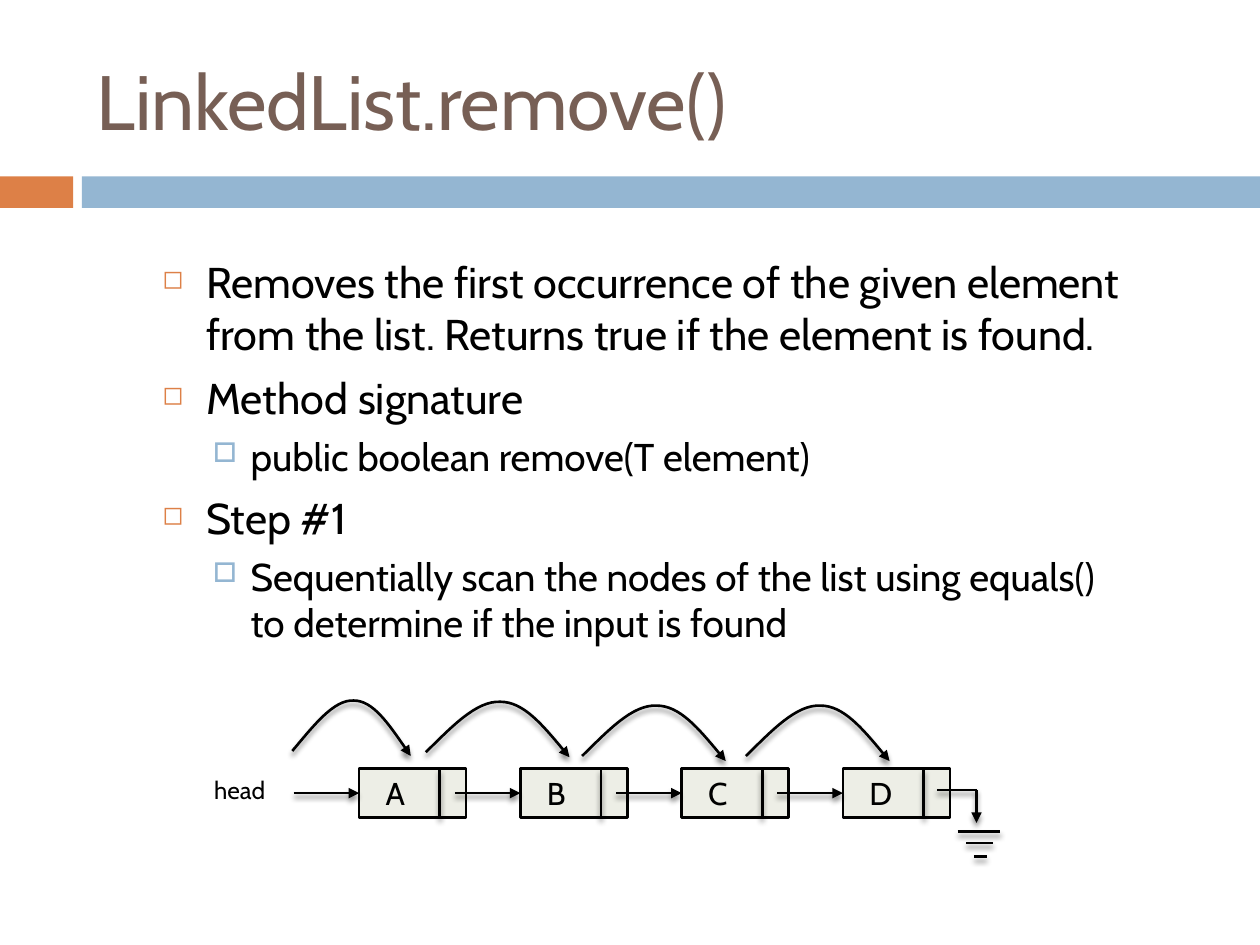
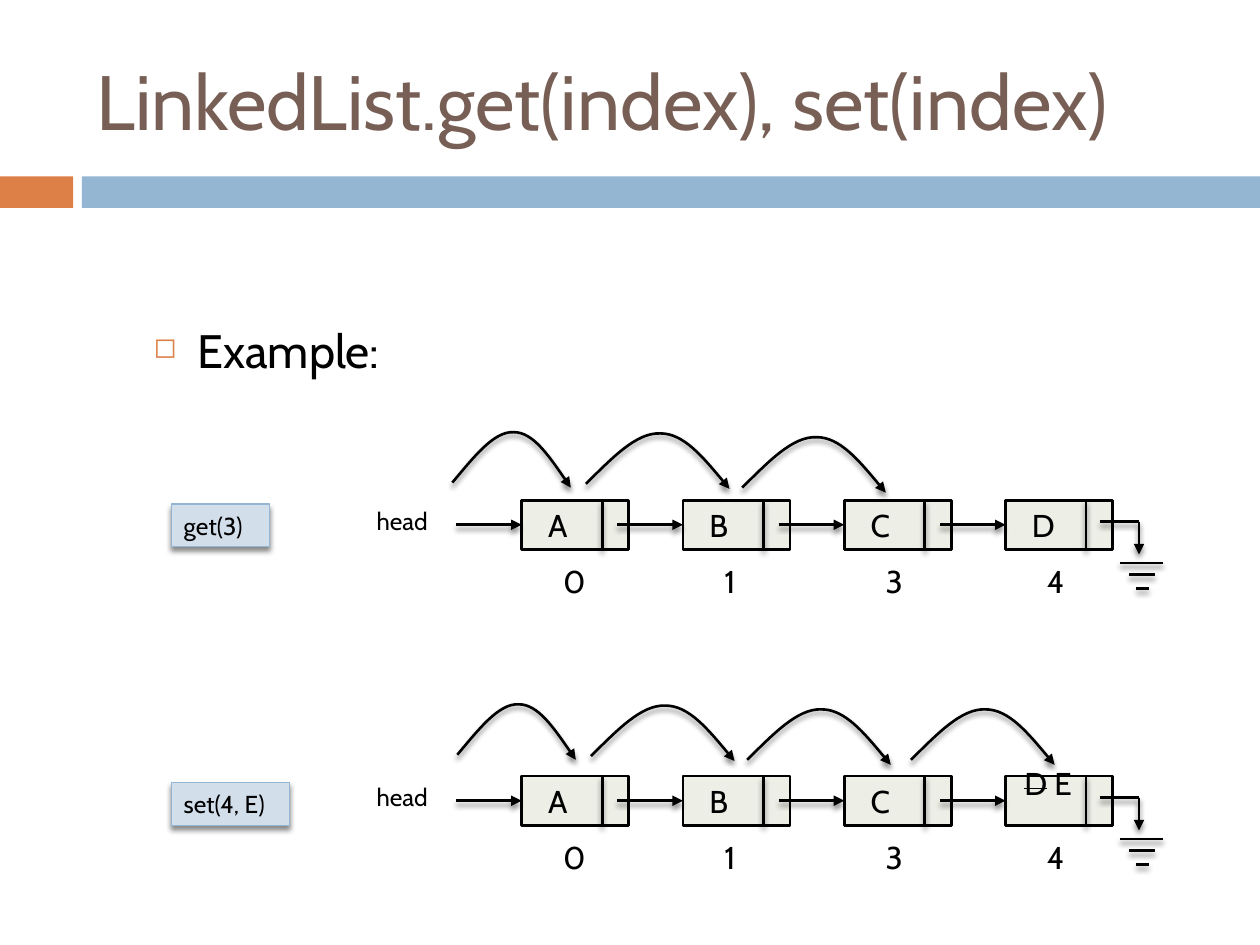
from lxml import etree
from pptx import Presentation
from pptx import util as u
from pptx.dml.color import RGBColor
from pptx.enum import shapes, text
from pptx.oxml.ns import qn

COLORS = {
    "ink": "000000", "title": "775F55", "orange": "DD8047",
    "blue": "94B6D2", "pale_blue": "D2DEEA", "node": "EDEEE6",
}
FONT = "Cabin"
SLIDE_WIDTH, SLIDE_HEIGHT = 10, 7.5
BAND_TOP, BAND_HEIGHT = 1.4, 0.25

# Linked list grid: every node takes one column
COLUMN = 1.28
NODE_WIDTH, NODE_HEIGHT = 0.85, 0.39
DIVIDER = 0.64
POINTER_START = 0.76
GROUND_BARS = [(0.91, 1.25, 0.5), (0.98, 1.19, 0.59), (1.04, 1.14, 0.7)]

# Hops: start (x, y) from the first node's corner, and width
HOPS = [(-0.53, -0.14, 0.94), (0.53, -0.13, 1.14),
        (1.77, -0.1, 1.14), (3.07, -0.1, 1.14)]
# Bezier points of a hop: share of its width, rise in inches
HOP_CURVE = [(0.18, -0.2), (0.35, -0.41), (0.52, -0.4),
             (0.68, -0.4), (0.84, -0.18), (1, 0.04)]

# Per level: left margin, indent, space before, character, colour, size in %
BULLETS = [(0.35, -0.35, 7, "◻", "orange", 60),
           (0.7, -0.3, 5.5, "□", "blue", 70)]


def rgb(name):
    return RGBColor.from_string(COLORS[name])


def add_xml(parent, tag, **attributes):
    return etree.SubElement(parent, qn(tag), attributes)


def style_font(font, size, color="ink"):
    font.name, font.size = FONT, u.Pt(size)
    font.color.rgb = rgb(color)


def style_line(shape, arrow=False, shadow=True, color="ink", width=1.5):
    shape.line.color.rgb = rgb(color)
    shape.line.width = u.Pt(width)
    properties = shape._element.spPr
    if arrow:
        add_xml(properties.find(qn("a:ln")), "a:tailEnd", type="triangle")
    if shadow:
        for effects in properties.findall(qn("a:effectLst")):
            properties.remove(effects)
        effects = add_xml(properties, "a:effectLst")
        outer = add_xml(effects, "a:outerShdw", blurRad=str(u.Pt(3)),
                        dist=str(u.Pt(2.4)), dir="5400000", rotWithShape="0")
        black = add_xml(outer, "a:srgbClr", val=COLORS["ink"])
        add_xml(black, "a:alpha", val="45000")


def add_rectangle(slide, left, top, width, height, fill):
    shape = slide.shapes.add_shape(
        shapes.MSO_SHAPE.RECTANGLE,
        *map(u.Inches, (left, top, width, height)))
    shape.shadow.inherit = False
    shape.fill.solid()
    shape.fill.fore_color.rgb = rgb(fill)
    shape.line.fill.background()
    return shape


def write(shape, words, size, color="ink", wrap=False):
    frame = shape.text_frame
    frame.word_wrap = wrap
    paragraph = frame.paragraphs[0]
    paragraph.text = words
    paragraph.alignment = text.PP_ALIGN.LEFT
    style_font(paragraph.font, size, color)
    return frame


def add_label(slide, words, left, top, width, height, size, color="ink",
              wrap=False):
    box = slide.shapes.add_textbox(
        *map(u.Inches, (left, top, width, height)))
    return write(box, words, size, color, wrap)


def add_line(slide, x1, y1, x2, y2, arrow=False):
    line = slide.shapes.add_connector(
        shapes.MSO_CONNECTOR.STRAIGHT, *map(u.Inches, (x1, y1, x2, y2)))
    style_line(line, arrow)
    return line


def add_titled_slide(presentation, title):
    slide = presentation.slides.add_slide(presentation.slide_layouts[6])
    add_rectangle(slide, 0, BAND_TOP, 0.58, BAND_HEIGHT, "orange")
    add_rectangle(slide, 0.65, BAND_TOP, SLIDE_WIDTH - 0.65, BAND_HEIGHT,
                  "blue")
    frame = add_label(slide, title, 0.67, 0.25, 8.92, 1.08, 44, "title", True)
    frame.vertical_anchor = text.MSO_ANCHOR.MIDDLE
    return slide


def add_bullets(slide, items, left, top, height, sizes):
    """Add (level, words) items; sizes holds one text size per level."""
    box = slide.shapes.add_textbox(
        *map(u.Inches, (left, top, 7.88, height)))
    frame = box.text_frame
    frame.word_wrap = True
    for number, (level, words) in enumerate(items):
        paragraph = frame.add_paragraph() if number else frame.paragraphs[0]
        paragraph.text = words
        paragraph.level = level
        style_font(paragraph.font, sizes[level])
        margin, indent, before, character, color, percent = BULLETS[level]
        paragraph.space_before = u.Pt(before)
        properties = paragraph._p.get_or_add_pPr()
        properties.set("marL", str(u.Inches(margin)))
        properties.set("indent", str(u.Inches(indent)))
        # Bullet elements come before the default run properties
        bullet = [
            etree.Element(qn("a:buClr")),
            etree.Element(qn("a:buSzPct"), val=str(percent * 1000)),
            etree.Element(qn("a:buChar"), char=character),
        ]
        add_xml(bullet[0], "a:srgbClr", val=COLORS[color])
        defaults = properties.find(qn("a:defRPr"))
        for element in bullet:
            if defaults is None:
                properties.append(element)
            else:
                defaults.addprevious(element)


def add_node(slide, left, top, value):
    node = add_rectangle(slide, left, top, NODE_WIDTH, NODE_HEIGHT, "node")
    style_line(node, shadow=False)
    frame = write(node, value, 18, wrap=True)
    frame.margin_left = u.Inches(0.21)
    frame.vertical_anchor = text.MSO_ANCHOR.MIDDLE
    add_line(slide, left + DIVIDER, top, left + DIVIDER, top + NODE_HEIGHT)
    return node


def add_ground(slide, left, top):
    """Null pointer of the node at left, top."""
    corner = left + 1.06
    add_line(slide, left + 0.75, top + 0.17, corner, top + 0.17)
    add_line(slide, corner, top + 0.17, corner, top + 0.43, arrow=True)
    for start, end, drop in GROUND_BARS:
        add_line(slide, left + start, top + drop, left + end, top + drop)


def add_linked_list(slide, left, top, values, indices=()):
    lefts = [left + column * COLUMN for column in range(len(values))]
    nodes = [add_node(slide, x, top, value)
             for x, value in zip(lefts, values)]
    middle = top + NODE_HEIGHT / 2
    for x, node in zip(lefts, nodes):
        pointer = add_line(slide, x - COLUMN + POINTER_START, middle,
                           x, middle, arrow=True)
        pointer.end_connect(node, 1)
    add_ground(slide, lefts[-1], top)
    add_label(slide, "head", left - 1.25, top, 0.62, 0.34, 14)
    for x, index in zip(lefts, indices):
        add_label(slide, index, x + 0.23, top + 0.44, 0.35, 0.4, 18)
    return nodes


def add_hop(slide, x, y, width):
    points = [(u.Inches(x + share * width), u.Inches(y + rise))
              for share, rise in HOP_CURVE]
    builder = slide.shapes.build_freeform(u.Inches(x), u.Inches(y))
    builder.add_line_segments(points, close=False)
    hop = builder.convert_to_shape()
    # Join each three segments into one cubic curve
    segments = list(hop._element.iter(qn("a:lnTo")))
    for first in range(0, len(segments), 3):
        curve = etree.Element(qn("a:cubicBezTo"))
        segments[first].addprevious(curve)
        for segment in segments[first:first + 3]:
            curve.append(segment[0])
            segment.getparent().remove(segment)
    hop.fill.background()
    style_line(hop, arrow=True)


def add_hops(slide, left, top, count):
    for x, y, width in HOPS[:count]:
        add_hop(slide, left + x, top + y, width)


def add_call(slide, words, top, width):
    call = add_rectangle(slide, 1.36, top, width, 0.34, "pale_blue")
    style_line(call, color="blue", width=0.79)
    write(call, words, 14)


def replace_value(node, old, new):
    """Strike the old value and write the new one, raised, beside it."""
    frame = write(node, "", 18, wrap=True)
    frame.margin_left = u.Inches(0.15)
    frame.margin_top, frame.margin_bottom = 0, u.Inches(0.28)
    paragraph = frame.paragraphs[0]
    for words in (old, f" {new}"):
        run = paragraph.add_run()
        run.text = words
        style_font(run.font, 18)
    paragraph.runs[0]._r.get_or_add_rPr().set("strike", "sngStrike")


def main():
    presentation = Presentation()
    presentation.slide_width = u.Inches(SLIDE_WIDTH)
    presentation.slide_height = u.Inches(SLIDE_HEIGHT)

    # Removing an element
    slide = add_titled_slide(presentation, "LinkedList.remove()")
    add_bullets(slide, [
        (0, "Removes the first occurrence of the given element from the "
            "list. Returns true if the element is found."),
        (0, "Method signature"),
        (1, "public boolean remove(T element)"),
        (0, "Step #1"),
        (1, "Sequentially scan the nodes of the list using equals() to "
            "determine if the input is found"),
    ], 1.19, 1.98, 3.14, (24.6, 22.1))
    add_linked_list(slide, 2.85, 6.1, "ABCD")
    add_hops(slide, 2.85, 6.1, 4)

    # Reading and replacing by index
    slide = add_titled_slide(presentation, "LinkedList.get(index), set(index)")
    add_bullets(slide, [(0, "Example:")], 1.12, 2.5, 0.51, (26.8,))
    add_linked_list(slide, 4.14, 3.97, "ABCD", "0134")
    nodes = add_linked_list(slide, 4.14, 6.16, "ABCD", "0134")
    replace_value(nodes[-1], "D", "E")
    add_call(slide, "get(3)", 4, 0.78)
    add_call(slide, "set(4, E)", 6.21, 0.94)
    add_hops(slide, 4.12, 3.97, 3)
    add_hops(slide, 4.16, 6.13, 4)

    presentation.save("out.pptx")


if __name__ == "__main__":
    main()
